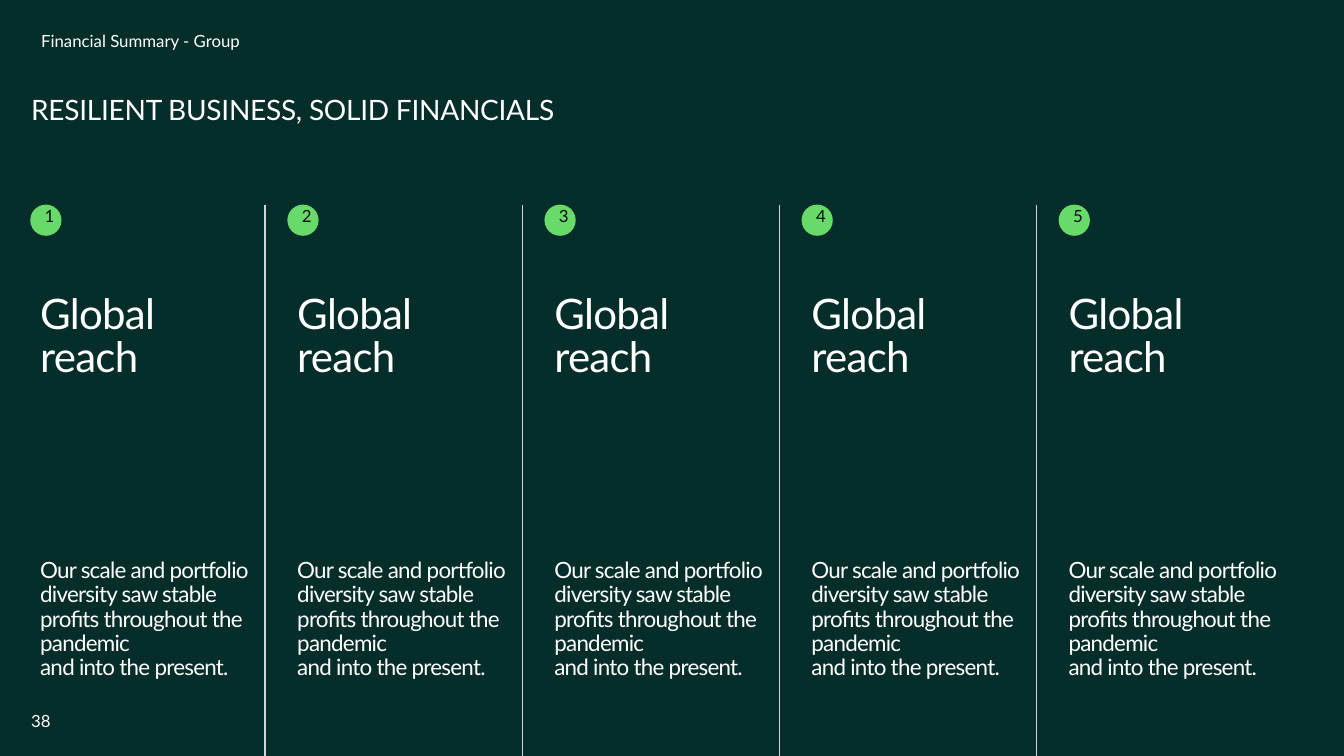
from lxml.etree import SubElement
from pptx import Presentation
from pptx.dml.color import RGBColor
from pptx.enum.shapes import MSO_CONNECTOR, MSO_SHAPE
from pptx.enum.text import MSO_ANCHOR, MSO_AUTO_SIZE, PP_ALIGN
from pptx.oxml.ns import qn
from pptx.util import Inches, Pt


def color(hex_string):
    return RGBColor.from_string(hex_string)


def write(shape, text, size, ink="FFFFFF", line_spacing=None, after=0,
          tracking=0, insets=(0.1, 0.05, 0.1, 0.05), grow=True):
    frame = shape.text_frame
    frame.word_wrap = True
    frame.auto_size = MSO_AUTO_SIZE.SHAPE_TO_FIT_TEXT if grow else MSO_AUTO_SIZE.NONE
    frame.margin_left, frame.margin_top, frame.margin_right, frame.margin_bottom = map(Inches, insets)
    para = frame.paragraphs[0]
    para.text = text
    para.line_spacing = line_spacing
    para.space_after = Pt(after)
    para.font.name = "Lato"
    para.font.size = Pt(size)
    para.font.color.rgb = color(ink)
    # Letter spacing, in hundredths of a point
    if tracking:
        for span in para.runs:
            span._r.get_or_add_rPr().set("spc", str(round(tracking * 100)))
    return frame


deck = Presentation()
deck.slide_width, deck.slide_height = Inches(13.33), Inches(7.5)
page = deck.slides.add_slide(deck.slide_layouts[6])
page.background.fill.solid()
page.background.fill.fore_color.rgb = color("052E2B")
shapes = page.shapes

# Section label, title and page number
section = shapes.add_textbox(Inches(0.31), Inches(0.28), Inches(3.95), Inches(0.18))
write(section, "Financial Summary - Group", 12, line_spacing=0.9)
title = shapes.add_textbox(Inches(0.31), Inches(0.96), Inches(6.3), Inches(0.3))
write(title, "RESILIENT BUSINESS, SOLID FINANCIALS", 20, line_spacing=0.9,
      tracking=-0.2, insets=(0, 0, 0, 0))
number = shapes.add_textbox(Inches(0.31), Inches(6.95), Inches(0.39), Inches(0.4))
frame = write(number, "38", 12, insets=(0, 0, 0, 0), grow=False)
frame.vertical_anchor = MSO_ANCHOR.MIDDLE

# Five columns
columns = [("Global reach",
            "Our scale and portfolio \ndiversity saw stable profits throughout "
            "the pandemic \nand into the present.")] * 5
pitch, column_width, columns_top = 2.55, 2.33, 2.03

for index, (heading, body) in enumerate(columns):
    left = 0.3 + index * pitch

    # Numbered badge
    badge = shapes.add_shape(MSO_SHAPE.OVAL, Inches(left), Inches(columns_top),
                             Inches(0.31), Inches(0.31))
    badge.shadow.inherit = False
    badge.fill.solid()
    badge.fill.fore_color.rgb = color("68DA6A")
    badge.line.fill.background()
    frame = write(badge, str(index + 1), 12, ink="020A08", line_spacing=0.8,
                  insets=(0.1, 0, 0.1, 0.05), grow=False)
    frame.vertical_anchor = MSO_ANCHOR.MIDDLE
    frame.paragraphs[0].alignment = PP_ALIGN.CENTER

    # Heading and body text
    box = shapes.add_textbox(Inches(left), Inches(2.88), Inches(column_width), Inches(1.27))
    write(box, heading, 30, line_spacing=0.85, after=12, tracking=-0.5)
    box = shapes.add_textbox(Inches(left), Inches(5.5), Inches(column_width), Inches(0.58))
    write(box, body, 16, line_spacing=0.9, after=6, tracking=-0.5)

    # Divider to the right of every column but the last
    if index < len(columns) - 1:
        x = Inches(left + column_width)
        divider = shapes.add_connector(MSO_CONNECTOR.STRAIGHT, x, Inches(columns_top),
                                       x, deck.slide_height)
        divider.line.color.rgb = color("CDD6DB")
        divider.line.width = Pt(1)
        SubElement(divider._element.spPr, qn("a:effectLst"))

deck.save("out.pptx")
